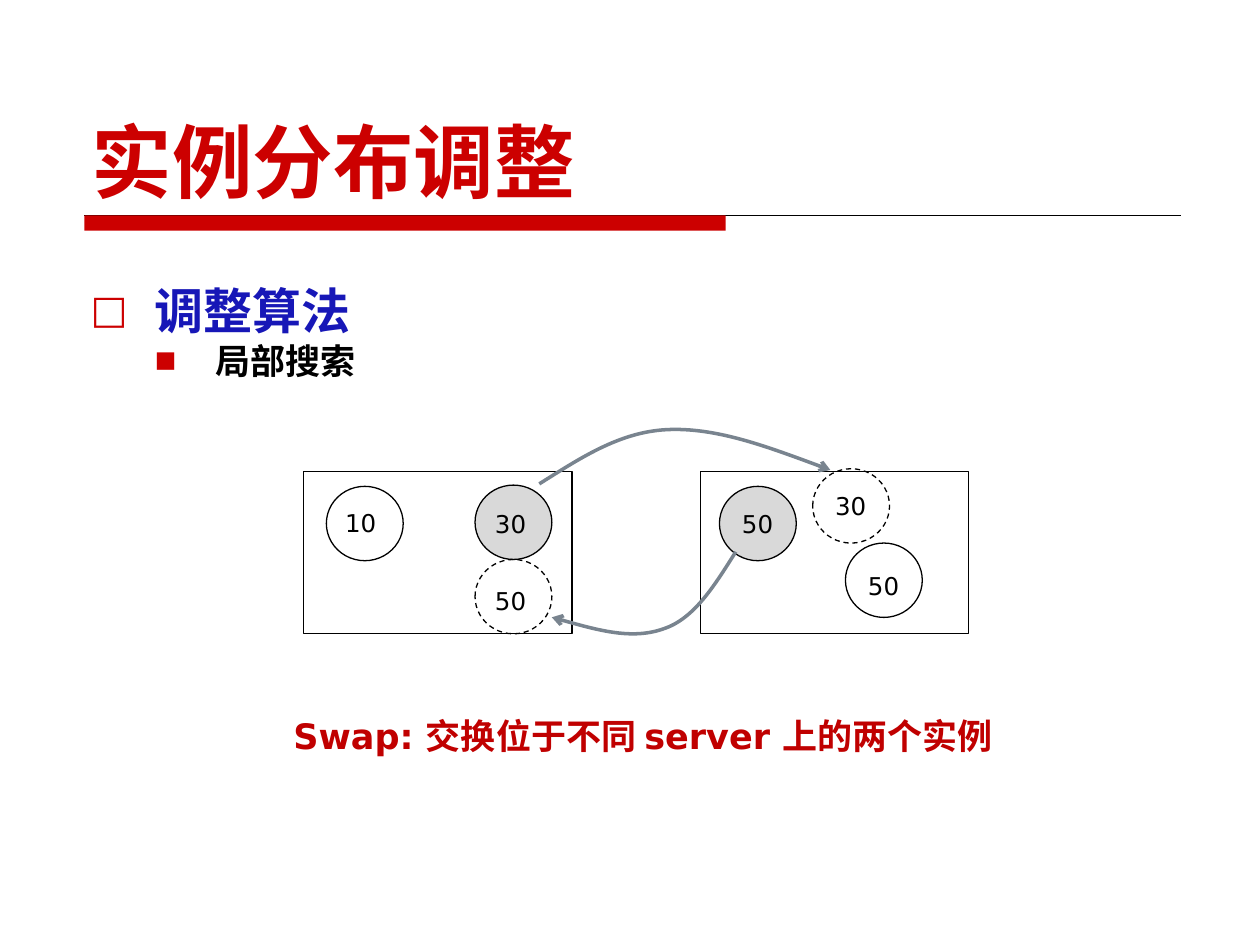
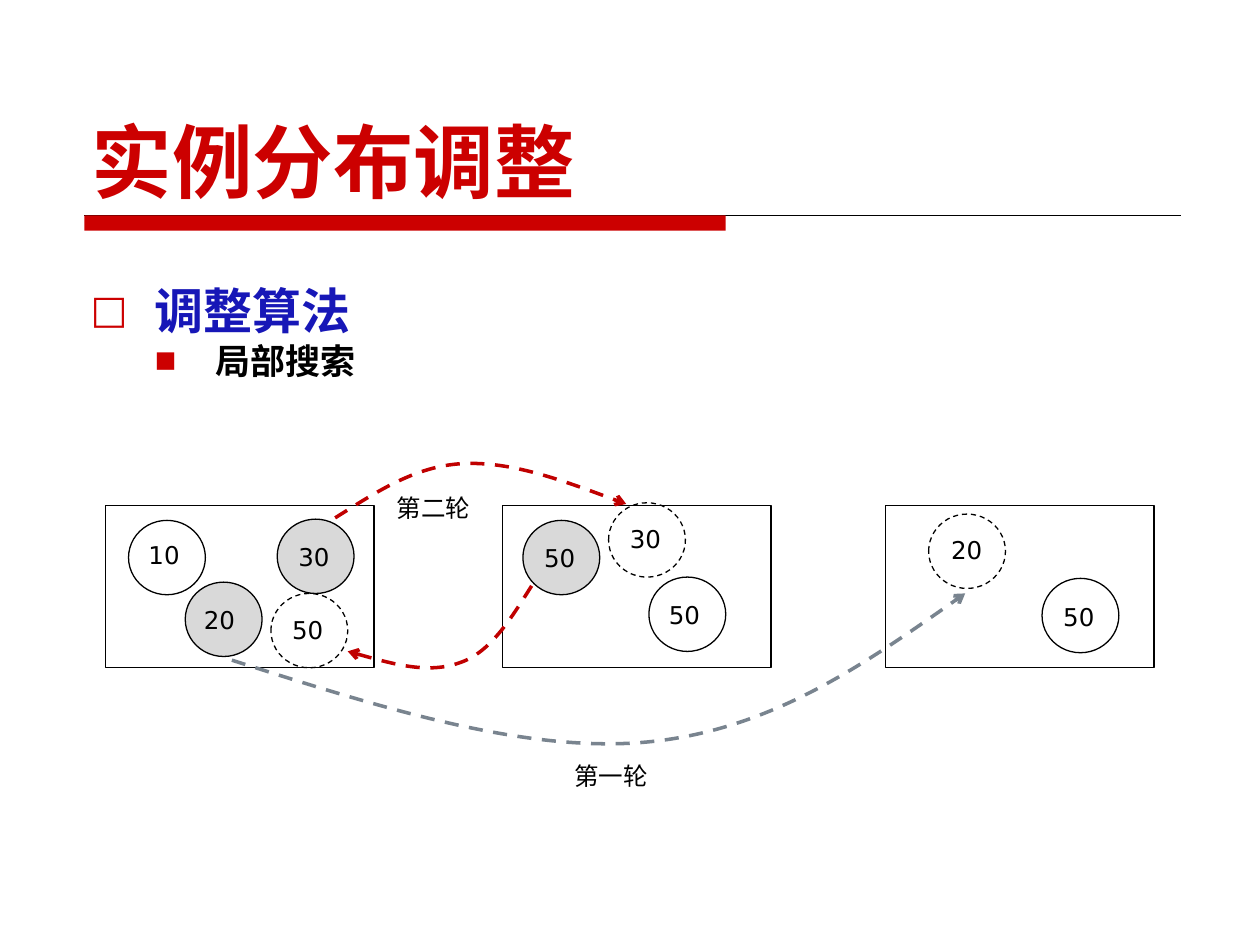
from pptx import Presentation
from pptx.dml.color import RGBColor
from pptx.enum.dml import MSO_LINE
from pptx.enum.shapes import MSO_CONNECTOR, MSO_SHAPE
from pptx.enum.text import MSO_ANCHOR
from pptx.oxml.ns import qn
from pptx.oxml.xmlchemy import OxmlElement
from pptx.util import Pt

PX = 9144  # EMU, 100 px to the inch

RED = RGBColor(0xCC, 0x00, 0x00)
DARK_RED = RGBColor(0xC0, 0x00, 0x00)
BLUE = RGBColor(0x17, 0x17, 0xB7)
BLACK = RGBColor(0x00, 0x00, 0x00)
SLATE = RGBColor(0x79, 0x84, 0x8F)
GREY = RGBColor(0xD9, 0xD9, 0xD9)

LATIN = "DejaVu Sans"
HAN = "Noto Sans CJK SC"
SERVER_SIZE = (213, 129)
INSTANCE_SIZE = (61, 59)

STAYS, LEAVES, ARRIVES = "stays", "leaves", "arrives"


def child(parent, tag, **attributes):
    element = OxmlElement(tag)
    for name, value in attributes.items():
        element.set(name, str(value))
    parent.append(element)
    return element


class Deck:
    def __init__(self):
        self.prs = Presentation()
        self.prs.slide_width = 1000 * PX
        self.prs.slide_height = 750 * PX
        self.slide = None

    def start_slide(self, title, topic, method):
        self.slide = self.prs.slides.add_slide(self.prs.slide_layouts[6])
        self.title_band()
        heading = self.text(title, 63, 33, 875, 133, 46, RED, HAN, True)
        heading.vertical_anchor = MSO_ANCHOR.BOTTOM
        heading.margin_bottom = 0

        body = self.text(topic, 62, 192, 909, 495, 28, BLUE, HAN, True, 52)
        self.bullet(body.paragraphs[0], "□", 51, 51, 80)
        item = body.add_paragraph()
        item.text = method
        item.level = 1
        self.bullet(item, "■", 99, 48, 65)
        self.style(item, 20, BLACK, HAN, True)

    def title_band(self):
        rule = self.slide.shapes.add_connector(
            MSO_CONNECTOR.STRAIGHT, 67 * PX, 171 * PX, 937 * PX, 171 * PX)
        rule.line.color.rgb = BLACK
        rule.line.width = Pt(0.75)
        child(rule._element.spPr, "a:effectLst")
        bar = self.shape(MSO_SHAPE.RECTANGLE, 67, 171, (509, 12), RED)
        bar.line.fill.background()

    def style(self, paragraph, size, color, font, bold):
        for run in paragraph.runs:
            run.font.size = Pt(size)
            run.font.bold = bold
            run.font.color.rgb = color
            run.font.name = font
            child(run.font._element, "a:ea", typeface=HAN)

    def text(self, words, left, top, width, height, size, color=BLACK,
             font=LATIN, bold=False, leading=None):
        box = self.slide.shapes.add_textbox(
            left * PX, top * PX, width * PX, height * PX)
        frame = box.text_frame
        frame.word_wrap = True
        frame.text = words
        paragraph = frame.paragraphs[0]
        if leading:
            paragraph.line_spacing = Pt(leading)
        self.style(paragraph, size, color, font, bold)
        return frame

    def bullet(self, paragraph, mark, margin, hanging, percent):
        props = paragraph._p.get_or_add_pPr()
        props.set("marL", str(margin * PX))
        props.set("indent", str(-hanging * PX))
        child(child(props, "a:buClr"), "a:srgbClr", val=RED)
        child(props, "a:buSzPct", val=percent * 1000)
        child(props, "a:buFont", typeface=LATIN)
        child(props, "a:buChar", char=mark)

    def shape(self, kind, left, top, size, fill=None):
        width, height = size
        shape = self.slide.shapes.add_shape(
            kind, left * PX, top * PX, width * PX, height * PX)
        shape.shadow.inherit = False
        if fill is None:
            shape.fill.background()
        else:
            shape.fill.solid()
            shape.fill.fore_color.rgb = fill
        shape.line.color.rgb = BLACK
        shape.line.width = Pt(0.75)
        return shape

    def servers(self, top, *lefts):
        for left in lefts:
            self.shape(MSO_SHAPE.RECTANGLE, left, top, SERVER_SIZE)

    def instance(self, load, left, top, label_left, label_top, state=STAYS):
        circle = self.shape(MSO_SHAPE.OVAL, left, top, INSTANCE_SIZE,
                            GREY if state == LEAVES else None)
        if state == ARRIVES:
            circle.line.dash_style = MSO_LINE.DASH
        self.text(str(load), label_left, label_top, 57, 34, 14)

    def move(self, start, controls, color, dashed=False):
        """Curved arrow; each three points of controls make one Bézier piece."""
        builder = self.slide.shapes.build_freeform(*start, scale=PX)
        builder.add_line_segments(controls, close=False)
        curve = builder.convert_to_shape()
        segments = list(curve._element.iter(qn("a:lnTo")))
        for i in range(0, len(segments), 3):
            bezier = OxmlElement("a:cubicBezTo")
            segments[i].addprevious(bezier)
            for segment in segments[i:i + 3]:
                bezier.append(segment[0])
                segment.getparent().remove(segment)
        curve.shadow.inherit = False
        curve.fill.background()
        curve.line.color.rgb = color
        curve.line.width = Pt(2)
        if dashed:
            curve.line.dash_style = MSO_LINE.DASH
        child(curve.line._get_or_add_ln(), "a:tailEnd", type="arrow")

    def swap(self, dx, dy, color, dashed=False):
        """The pair of arrows between two servers, shifted by dx and dy."""
        back = [(584, 438), (567, 465), (551, 491), (527, 499),
                (502, 508), (470, 499), (438, 490)]
        forth = [(428, 384), (460, 364), (491, 343), (529, 341),
                 (568, 339), (613, 356), (659, 373)]
        for route in (back, forth):
            start, *controls = [(x + dx, y + dy) for x, y in route]
            self.move(start, controls, color, dashed)


def swap_slide(deck):
    deck.servers(374, 241, 556)
    for instance in (
        (10, 259, 386, 264, 398),
        (30, 377, 385, 383, 399, LEAVES),
        (50, 571, 386, 579, 399, LEAVES),
        (50, 671, 431, 679, 448),
        (50, 377, 444, 383, 460, ARRIVES),
        (30, 645, 372, 653, 385, ARRIVES),
    ):
        deck.instance(*instance)
    deck.swap(0, 0, SLATE)
    deck.text("Swap: 交换位于不同 server 上的两个实例", 223, 562, 593, 44,
              20, DARK_RED, LATIN, True, 24)


def rounds_slide(deck):
    deck.servers(401, 84, 399, 703)
    for instance in (
        (10, 102, 413, 108, 424),
        (30, 220, 412, 227, 425, LEAVES),
        (20, 147, 462, 152, 475, LEAVES),
        (50, 415, 413, 422, 426, LEAVES),
        (50, 515, 458, 521, 471),
        (50, 827, 459, 834, 473),
        (50, 215, 471, 222, 483, ARRIVES),
        (20, 737, 408, 745, 420, ARRIVES),
        (30, 483, 399, 490, 411, ARRIVES),
    ):
        deck.instance(*instance)
    deck.swap(-162, 27, DARK_RED, dashed=True)
    deck.move((184, 524), [(300, 561), (416, 598), (513, 589),
                           (610, 580), (688, 526), (766, 471)],
              SLATE, dashed=True)
    for round_name, left, top in (("第一轮", 446, 597), ("第二轮", 305, 385)):
        deck.text(round_name, left, top, 148, 49, 14, leading=18)


def main():
    deck = Deck()
    for draw in (swap_slide, rounds_slide):
        deck.start_slide("实例分布调整", "调整算法", "局部搜索")
        draw(deck)
    deck.prs.save("out.pptx")


if __name__ == "__main__":
    main()
